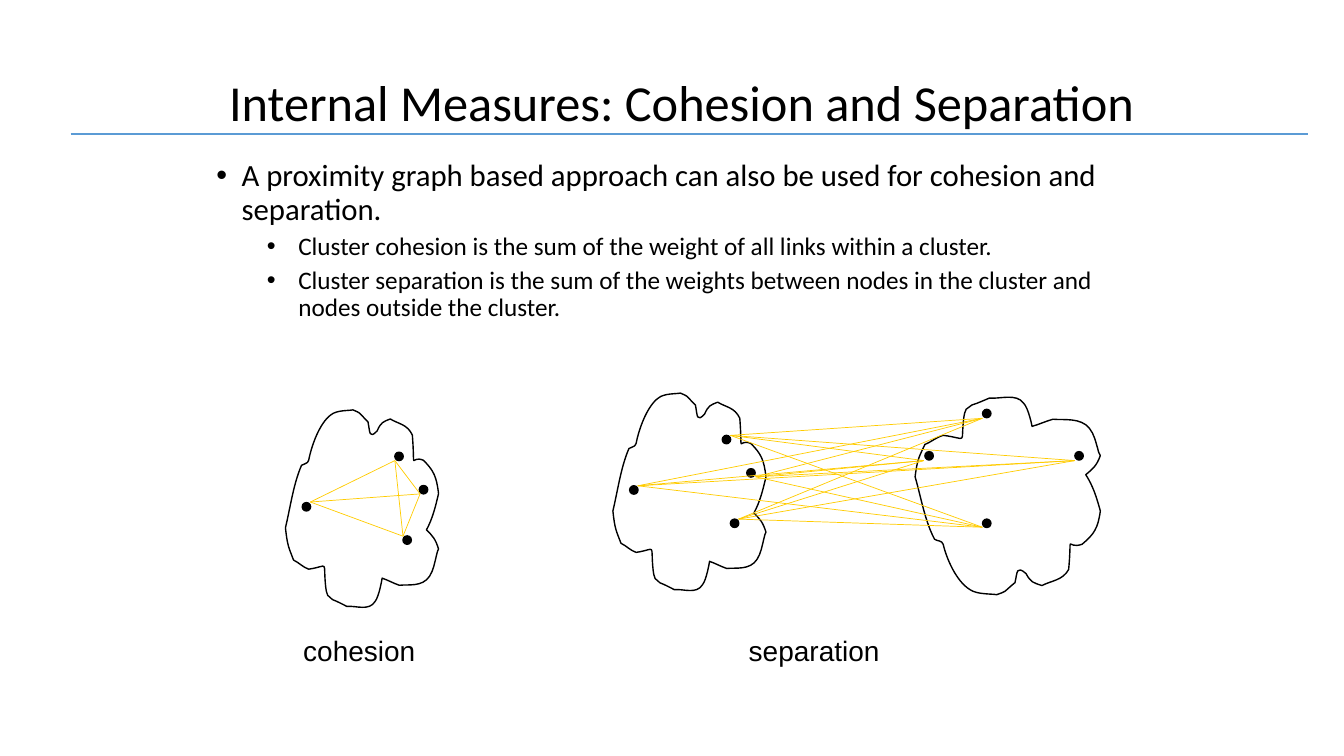
import itertools

import pptx
import pptx.dml.color
import pptx.enum.shapes
import pptx.enum.text
import pptx.oxml
import pptx.oxml.ns
import pptx.util

Pt = pptx.util.Pt
BLACK = pptx.dml.color.RGBColor(0x00, 0x00, 0x00)
YELLOW = pptx.dml.color.RGBColor(0xFF, 0xCC, 0x00)
BLUE = pptx.dml.color.RGBColor(0x5B, 0x9B, 0xD5)

DOT_SIZE = 6
OUTLINE_HEIGHT = 144
OUTLINE_START = (11.5, 39.6)
OUTLINE_CURVES = [
    ((5.8, 52.6), (3.6, 69.1), (0, 84.2)),
    ((1.4, 97.2), (2.2, 97.9), (5.8, 107.3)),
    ((10.1, 109.4), (12.2, 112.3), (16.6, 113.8)),
    ((31.7, 111.6), (26.6, 106.6), (28.8, 126.7)),
    ((28.8, 128.9), (29.5, 130.3), (30.2, 132.5)),
    ((35.3, 136.8), (31.7, 134.6), (36.7, 136.8)),
    ((39.6, 138.2), (43.9, 140.4), (43.9, 140.4)),
    ((50.4, 139.7), (59.8, 144), (64.1, 136.8)),
    ((67, 133.2), (69.1, 120.2), (69.1, 120.2)),
    ((73.4, 121.7), (77, 123.8), (81.4, 125.3)),
    ((87.8, 124.6), (97.9, 126.7), (103, 118.8)),
    ((105.8, 114.5), (106.6, 109.4), (108, 103.7)),
    ((108, 102.2), (109.4, 99.4), (109.4, 99.4)),
    ((107.3, 92.2), (105.1, 90), (100.8, 85.7)),
    ((105.1, 77.8), (107.3, 69.1), (109.4, 59.8)),
    ((108, 47.5), (105.8, 43.2), (98.6, 36)),
    ((88.6, 31.7), (92.9, 46.8), (90.7, 18)),
    ((87.1, 10.1), (80.6, 10.1), (74.9, 6.5)),
    ((69.8, 8.6), (68.4, 8.6), (65.5, 15.1)),
    ((59.8, 20.9), (60.5, 16.6), (59, 8.6)),
    ((51.1, 0.7), (54.7, 2.9), (48.2, 0)),
    ((45.4, 0.7), (36.7, 0), (32.4, 3.6)),
    ((24.5, 9.4), (18.7, 25.2), (16.6, 36)),
    ((15.8, 38.9), (13, 38.2), OUTLINE_START),
]
OUTLINE_POINTS = [OUTLINE_START, *itertools.chain.from_iterable(OUTLINE_CURVES)]

LEFT_DOTS = [(450, 347), (516.2, 311), (522, 370.8), (533.7, 334.8)]
RIGHT_DOTS = [(661, 322.6), (702.2, 292.4), (702.2, 370.8), (768.2, 322.6)]
COHESION_DOTS = [(x - 234, y + 12) for x, y in LEFT_DOTS]
LEFT_ENDS = [(455.8, 347), (522, 311), (527.8, 370.8), (540, 340.6)]
RIGHT_ENDS = [(660.2, 329), (702, 298.8), (702, 376.6), (768.2, 329)]
COHESION_ENDS = [(221.8, 358.6), (282.2, 329), (288, 383), (300.2, 352.8)]


def write_text(paragraph, text, font="Calibri", size=18, color=BLACK,
               line_spacing=None, space_before=0, bullet=None, margin=0, indent=0):
    if bullet:
        properties = paragraph._p.get_or_add_pPr()
        properties.set("marL", str(Pt(margin)))
        properties.set("indent", str(Pt(indent)))
        for tag, attribute, value in (("a:buFont", "typeface", "Arial"),
                                      ("a:buChar", "char", bullet)):
            element = pptx.oxml.parse_xml(
                f'<{tag} {pptx.oxml.ns.nsdecls("a")} {attribute}="{value}"/>')
            properties.append(element)
    if line_spacing:
        paragraph.line_spacing = line_spacing
    if space_before:
        paragraph.space_before = Pt(space_before)
    run = paragraph.add_run()
    run.text = text
    run.font.name = font
    run.font.size = Pt(size)
    run.font.color.rgb = color


def curve_segments(shape):
    segments = shape._element.findall(".//" + pptx.oxml.ns.qn("a:lnTo"))
    for first, second, end in zip(*[iter(segments)] * 3):
        curve = pptx.oxml.parse_xml(f'<a:cubicBezTo {pptx.oxml.ns.nsdecls("a")}/>')
        first.addprevious(curve)
        for segment in (first, second, end):
            curve.append(segment[0])
            segment.getparent().remove(segment)


class SlideBuilder:
    def __init__(self, slide, outline_width=1, link_width=0.5):
        self.slide = slide
        self.outline_width = outline_width
        self.link_width = link_width

    def text_box(self, left, top, width, height, wrap=True):
        shape = self.slide.shapes.add_textbox(Pt(left), Pt(top), Pt(width), Pt(height))
        shape.text_frame.word_wrap = wrap
        return shape.text_frame

    def label(self, text, left, width):
        frame = self.text_box(left, 448.9, width, 31.7, wrap=False)
        frame.auto_size = pptx.enum.text.MSO_AUTO_SIZE.SHAPE_TO_FIT_TEXT
        write_text(frame.paragraphs[0], text, font="Arial", size=20)

    def cluster(self, left, top, stretch=1, flipped=False):
        vertices = [
            (Pt(left + x * stretch), Pt(top + (OUTLINE_HEIGHT - y if flipped else y)))
            for x, y in OUTLINE_POINTS]
        builder = self.slide.shapes.build_freeform(*vertices[0], scale=1)
        builder.add_line_segments(vertices[1:], close=True)
        shape = builder.convert_to_shape()
        curve_segments(shape)
        shape.shadow.inherit = False
        shape.fill.background()
        shape.line.color.rgb = BLACK
        shape.line.width = Pt(self.outline_width)

    def dots(self, positions):
        for left, top in positions:
            shape = self.slide.shapes.add_shape(
                pptx.enum.shapes.MSO_SHAPE.OVAL,
                Pt(left), Pt(top), Pt(DOT_SIZE), Pt(DOT_SIZE))
            shape.shadow.inherit = False
            shape.fill.solid()
            shape.fill.fore_color.rgb = BLACK
            shape.line.color.rgb = BLACK
            shape.line.width = Pt(self.outline_width)

    def line(self, start, end, color, width):
        connector = self.slide.shapes.add_connector(
            pptx.enum.shapes.MSO_CONNECTOR.STRAIGHT,
            Pt(start[0]), Pt(start[1]), Pt(end[0]), Pt(end[1]))
        connector.line.color.rgb = color
        connector.line.width = Pt(width)
        connector._element.spPr.append(pptx.oxml.parse_xml(
            f'<a:effectLst {pptx.oxml.ns.nsdecls("a")}/>'))

    def links(self, pairs):
        for start, end in pairs:
            self.line(start, end, YELLOW, self.link_width)


def main():
    presentation = pptx.Presentation()
    presentation.slide_width = Pt(960.48)
    presentation.slide_height = Pt(540)
    slide = presentation.slides.add_slide(presentation.slide_layouts[6])
    builder = SlideBuilder(slide)

    body = builder.text_box(147.6, 110.9, 666, 419.8)
    write_text(body.paragraphs[0],
               "A proximity graph based approach can also be used for cohesion and separation.",
               size=22, line_spacing=0.9, bullet="•", margin=18, indent=-18)
    for text in (
        "Cluster cohesion is the sum of the weight of all links within a cluster.",
        "Cluster separation is the sum of the weights between nodes in the cluster "
        "and nodes outside the cluster.",
    ):
        paragraph = body.add_paragraph()
        paragraph.level = 1
        write_text(paragraph, text, line_spacing=0.9, space_before=5,
                   bullet="•", margin=58.5, indent=-22.5)

    title = builder.text_box(156.6, 36, 665.3, 77.8)
    title.vertical_anchor = pptx.enum.text.MSO_ANCHOR.MIDDLE
    write_text(title.paragraphs[0], "Internal Measures: Cohesion and Separation",
               size=36, line_spacing=0.9)

    builder.cluster(438, 280.8)
    builder.dots(LEFT_DOTS)
    builder.cluster(654, 280.8, stretch=1.21, flipped=True)
    builder.dots(RIGHT_DOTS)
    builder.links(itertools.product(LEFT_ENDS, RIGHT_ENDS))

    builder.cluster(204, 292.8)
    builder.dots(COHESION_DOTS)
    builder.links(itertools.combinations(COHESION_ENDS, 2))

    builder.label("cohesion", 209.6, 96)
    builder.label("separation", 528, 108)
    builder.line((50.4, 95.8), (934.6, 95.8), BLUE, 1.5)

    presentation.save("out.pptx")


if __name__ == "__main__":
    main()
